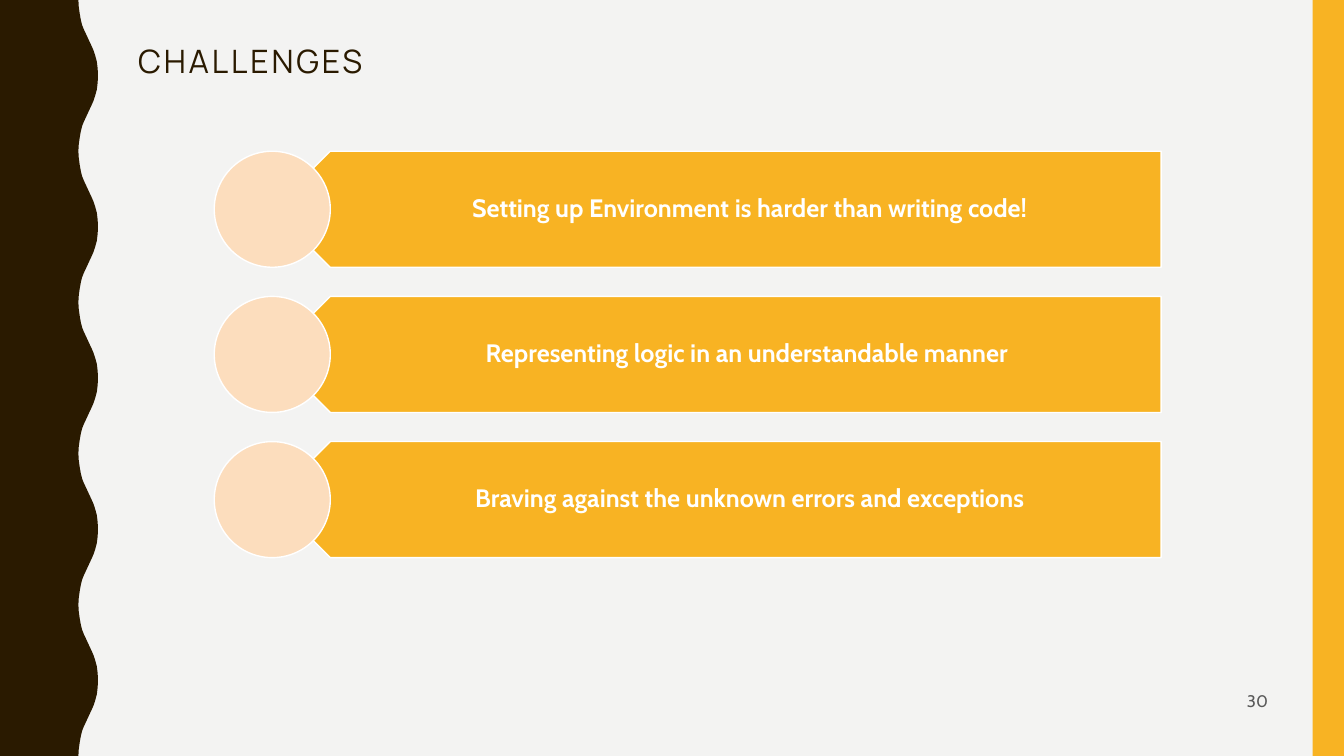
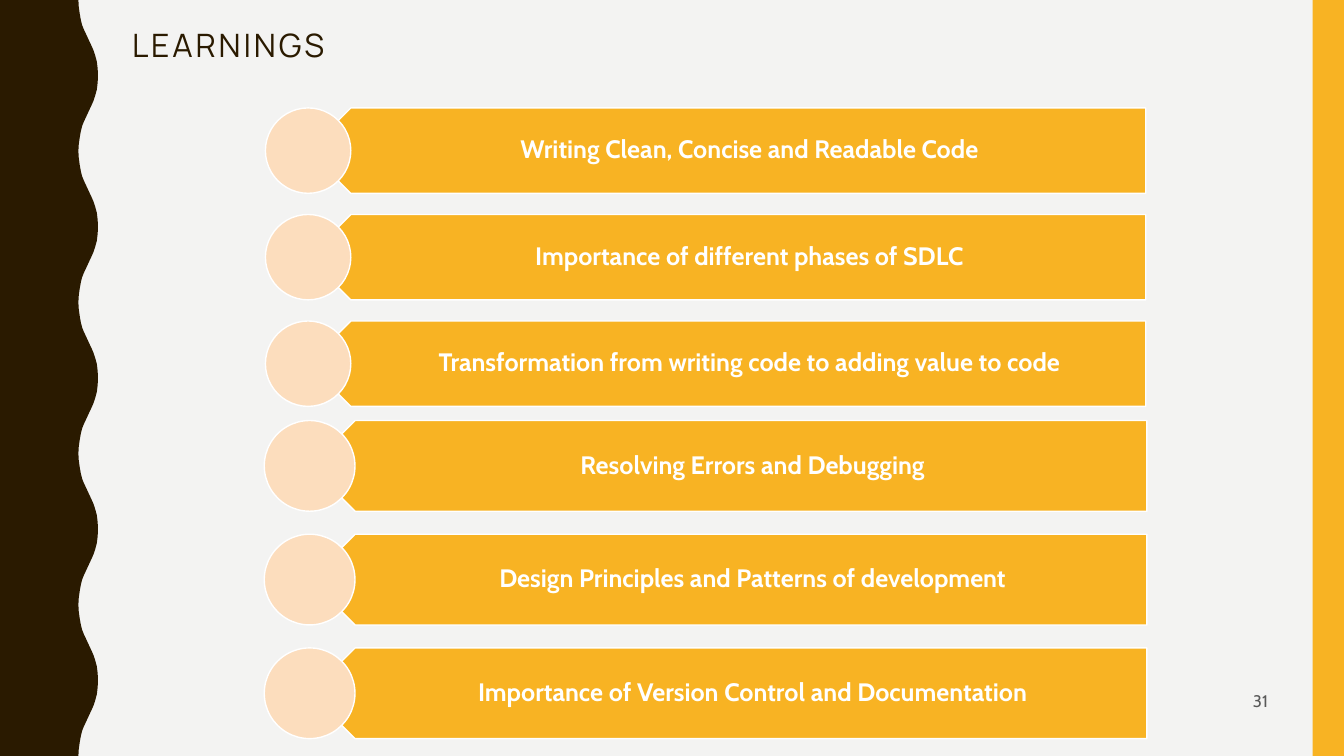
from dataclasses import dataclass

from lxml.etree import SubElement
from pptx import Presentation
from pptx.dml.color import RGBColor
from pptx.enum.shapes import MSO_SHAPE as Shape
from pptx.enum.text import MSO_ANCHOR as Anchor, MSO_AUTO_SIZE as AutoSize, PP_ALIGN as Align
from pptx.util import Pt

COLORS = {
    "background": "F3F3F2",
    "brown": "2A1A00",
    "amber": "F8B323",
    "peach": "FCDDBD",
    "white": "FFFFFF",
    "grey": "595959",
}
FORMATS = {
    "title": {"name": "Manrope", "size": Pt(23), "bold": False},
    "item": {"name": "Cabin", "size": Pt(18), "bold": True},
    "number": {"name": "Cabin", "size": Pt(12), "bold": False},
}
WIDTH, HEIGHT = 960, 540
BAR_WIDTH = 22.4
WAVE_PERIOD = 108
# Half a wave, trough to crest, as (x, y)
HALF_WAVE = [
    (56, 0), (56.3, 5), (57, 10), (57.8, 14.4), (58.7, 18), (59.9, 21), (61.3, 24),
    (62.7, 27), (64.1, 30), (65.5, 33), (66.8, 36), (68, 39.6), (69.2, 44), (69.8, 49), (70, 54),
]


@dataclass
class Banners:
    """A column of circles, each with an arrow-ended banner to its right."""
    left: float
    top: float
    right: float
    size: float
    pitch: float
    items: list[str]


@dataclass
class Page:
    title: str
    title_left: float
    title_top: float
    number: int
    columns: list[Banners]


PAGES = [
    Page("CHALLENGES", 98.6, 29.5, 30, [
        Banners(153, 108, 829.4, 82.9, 103.7, [
            "Setting up Environment is harder than writing code!",
            "Representing logic in an understandable manner ",
            "Braving against the unknown errors and exceptions",
        ]),
    ]),
    Page("LEARNINGS", 94.3, 18, 31, [
        Banners(189.6, 77.1, 818.4, 61, 76.1, [
            "Writing Clean, Concise and Readable Code",
            "Importance of different phases of SDLC",
            "Transformation from writing code to adding value to code",
        ]),
        Banners(188.8, 300.4, 819.2, 64.8, 81.2, [
            "Resolving Errors and Debugging",
            "Design Principles and Patterns of development",
            "Importance of Version Control and Documentation",
        ]),
    ]),
]


def rgb(color: str) -> RGBColor:
    return RGBColor.from_string(COLORS[color])


def paint(sp, fill: str, line: str | None = None) -> None:
    sp.shadow.inherit = False
    sp.fill.solid()
    sp.fill.fore_color.rgb = rgb(fill)
    if line:
        sp.line.color.rgb = rgb(line)
        sp.line.width = Pt(1)
    else:
        sp.line.fill.background()


def add_shape(shapes, kind: Shape, box: tuple, fill: str, line: str | None = None):
    sp = shapes.add_shape(kind, *map(Pt, box))
    paint(sp, fill, line)
    return sp


def write(sp, text: str, style: str, color: str, align: Align, anchor: Anchor,
          insets: tuple = (0, 0, 0, 0)):
    tf = sp.text_frame
    frame = {"word_wrap": True, "auto_size": AutoSize.NONE, "vertical_anchor": anchor}
    frame.update(zip(("margin_left", "margin_top", "margin_right", "margin_bottom"),
                     map(Pt, insets)))
    for name, value in frame.items():
        setattr(tf, name, value)
    p = tf.paragraphs[0]
    p.alignment = align
    r = p.add_run()
    r.text = text
    for name, value in FORMATS[style].items():
        setattr(r.font, name, value)
    r.font.color.rgb = rgb(color)
    return r


def wave_points() -> list[tuple[float, float]]:
    falling = [(x, WAVE_PERIOD - y) for x, y in reversed(HALF_WAVE[:-1])]
    wave = HALF_WAVE + falling[:-1]
    points = [(x, start + y) for start in range(0, HEIGHT, WAVE_PERIOD) for x, y in wave]
    return points + [(HALF_WAVE[0][0], HEIGHT)]


def decorate_master(prs, s) -> None:
    """Draw the wave and the bar on slide s, then move them to the master."""
    master = prs.slide_master
    fill = master.background.fill
    fill.solid()
    fill.fore_color.rgb = rgb("background")
    outline = s.shapes.build_freeform(0, 0)
    outline.add_line_segments([(Pt(x), Pt(y)) for x, y in wave_points() + [(0, HEIGHT)]])
    wave = outline.convert_to_shape()
    paint(wave, "brown")
    bar = add_shape(s.shapes, Shape.RECTANGLE, (WIDTH - BAR_WIDTH, 0, BAR_WIDTH, HEIGHT), "amber")
    for i, sp in enumerate((wave, bar)):
        sp.element.nvSpPr.cNvPr.set("id", str(100 + i))
        master.shapes.element.insert(2 + i, sp.element)


def add_title(s, page: Page) -> None:
    sp = s.shapes.title
    box = {"left": page.title_left, "top": page.title_top, "width": 851.8, "height": 59}
    for name, value in box.items():
        setattr(sp, name, Pt(value))
    r = write(sp, page.title, "title", "brown", Align.LEFT, Anchor.TOP)
    r.font.element.set("spc", "200") if hasattr(r.font, "element") else \
        r._r.get_or_add_rPr().set("spc", "200")


def add_banners(s, column: Banners) -> None:
    shapes = s.shapes.add_group_shape().shapes
    size = column.size
    tip = column.left + size / 2
    text_left = tip + size / 4
    for i, item in enumerate(column.items):
        top = column.top + i * column.pitch
        banner = add_shape(shapes, Shape.PENTAGON, (tip, top, column.right - tip, size),
                           "amber", "white")
        banner.rotation = 180
        label = shapes.add_textbox(*map(Pt, (text_left, top, column.right - text_left, size)))
        write(label, item, "item", "white", Align.CENTER, Anchor.MIDDLE,
              (0.44 * size, 5, 10, 5))
        label.text_frame.paragraphs[0].line_spacing = 0.9
        add_shape(shapes, Shape.OVAL, (column.left, top, size, size), "peach", "white")


def add_number(s, number: int) -> None:
    sp = s.shapes.add_textbox(*map(Pt, (884.2, 496.8, 21.6, 7.2)))
    write(sp, str(number), "number", "grey", Align.RIGHT, Anchor.MIDDLE)


def main() -> None:
    prs = Presentation()
    prs.slide_width, prs.slide_height = Pt(WIDTH), Pt(HEIGHT)
    title_only = prs.slide_layouts[5]
    for i, page in enumerate(PAGES):
        s = prs.slides.add_slide(title_only)
        if i == 0:
            decorate_master(prs, s)
        add_title(s, page)
        for column in page.columns:
            add_banners(s, column)
        add_number(s, page.number)
    prs.save("out.pptx")


if __name__ == "__main__":
    main()
